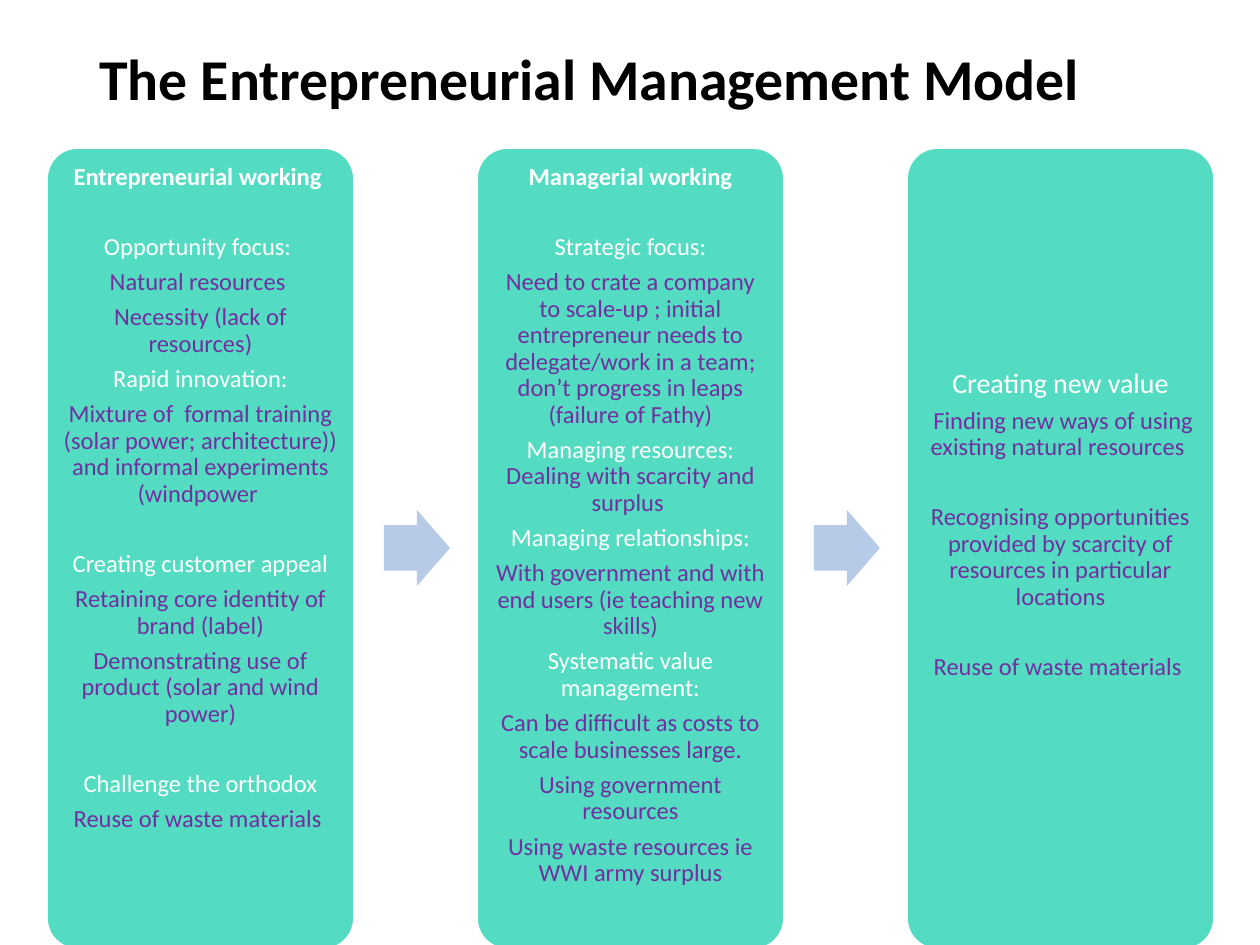
from pptx import Presentation
from pptx import util as u
from pptx.dml.color import RGBColor
from pptx.enum import shapes, text

PX = 914400 / 126
FONT = "Calibri"
BLACK = RGBColor(0x00, 0x00, 0x00)
WHITE = RGBColor(0xFF, 0xFF, 0xFF)
TEAL = RGBColor(0x54, 0xDC, 0xC2)
BLUE = RGBColor(0xB5, 0xCB, 0xE7)
PURPLE = RGBColor(0x70, 0x30, 0xA0)

HEAD = (14, WHITE, True)
BIG = (16, WHITE, False)
TOPIC = (14, WHITE, False)
NOTE = (14, PURPLE, False)
AFTER, GAP = 5, 20

WORK = [
    (0, [("Entrepreneurial working ", HEAD)]),
    (GAP, [("Opportunity focus: ", TOPIC)]),
    (0, [("Natural resources ", NOTE)]),
    (0, [("Necessity (lack of resources)", NOTE)]),
    (0, [("Rapid innovation:", TOPIC)]),
    (0, [("Mixture of  formal training (solar power; architecture)) "
          "and informal experiments (windpower ", NOTE)]),
    (GAP, [("Creating customer appeal", TOPIC)]),
    (0, [("Retaining core identity of brand (label)", NOTE)]),
    (0, [("Demonstrating use of product (solar and wind power)", NOTE)]),
    (GAP, [("Challenge the orthodox", TOPIC)]),
    (0, [("Reuse of waste materials ", NOTE)]),
]
MANAGE = [
    (0, [("Managerial working", HEAD)]),
    (GAP, [("Strategic focus:", TOPIC)]),
    (0, [("Need to crate a company to scale-up ; initial entrepreneur "
          "needs to delegate/work in a team; don’t progress in leaps "
          "(failure of Fathy)", NOTE)]),
    (0, [("Managing resources: ", TOPIC),
         ("Dealing with scarcity and surplus ", NOTE)]),
    (0, [("Managing relationships:", TOPIC)]),
    (0, [("With government and with end users (ie teaching new skills)", NOTE)]),
    (0, [("Systematic value management:", TOPIC)]),
    (0, [("Can be difficult as costs to scale businesses large.", NOTE)]),
    (0, [("Using government resources", NOTE)]),
    (0, [("Using waste resources ie WWI army surplus", NOTE)]),
]
VALUE = [
    (0, [("Creating new value", BIG)]),
    (0, [(" Finding new ways of using existing natural resources ", NOTE)]),
    (GAP, [("Recognising opportunities provided by scarcity of "
            "resources in particular locations", NOTE)]),
    (GAP, [("Reuse of waste materials ", NOTE)]),
]
STAGES = [(WORK, 7), (MANAGE, 7), (VALUE, 212)]


def emu(*vals):
    return [u.Emu(round(v * PX)) for v in vals]


def style(run, size, color, bold):
    font = run.font
    font.name, font.size, font.bold = FONT, u.Pt(size), bold
    font.color.rgb = color


def title(slide, x, y, w, h):
    frame = slide.shapes.add_textbox(*emu(x, y, w, h)).text_frame
    frame.word_wrap = True
    frame.vertical_anchor = text.MSO_ANCHOR.MIDDLE
    frame.text = "The Entrepreneurial Management Model"
    para = frame.paragraphs[0]
    para.line_spacing = 0.9
    style(para.runs[0], 33, BLACK, True)


def panel(slide, x, y, w, h, rows, top):
    box = slide.shapes.add_shape(
        shapes.MSO_SHAPE.ROUNDED_RECTANGLE, *emu(x, y, w, h))
    box.adjustments[0] = 0.1
    box.shadow.inherit = False
    box.fill.solid()
    box.fill.fore_color.rgb = TEAL
    box.line.color.rgb = WHITE
    box.line.width = u.Pt(1)
    frame = box.text_frame
    frame.word_wrap = True
    frame.vertical_anchor = text.MSO_ANCHOR.TOP
    frame.margin_left, frame.margin_right = emu(7, 7)
    frame.margin_top, frame.margin_bottom = emu(top, 7)
    for i, (gap, parts) in enumerate(rows):
        para = frame.add_paragraph() if i else frame.paragraphs[0]
        para.alignment = text.PP_ALIGN.CENTER
        para.line_spacing = 0.9
        para.space_before, para.space_after = u.Pt(gap), u.Pt(AFTER)
        for words, look in parts:
            run = para.add_run()
            run.text = words
            style(run, *look)


def arrow(slide, x, y, w, h):
    mark = slide.shapes.add_shape(
        shapes.MSO_SHAPE.RIGHT_ARROW, *emu(x, y, w, h))
    mark.adjustments[0], mark.adjustments[1] = 0.6, 0.5
    mark.shadow.inherit = False
    mark.fill.solid()
    mark.fill.fore_color.rgb = BLUE
    mark.line.fill.background()


def flow(slide, x, y, w, h):
    wide, step = 307, (w - 307) // 2
    for i, (rows, top) in enumerate(STAGES):
        left = x + i * step
        panel(slide, left, y, wide, h, rows, top)
        if i < len(STAGES) - 1:
            arrow(slide, left + wide + 30, y + (h - 76) // 2, 66, 76)


def main():
    deck = Presentation()
    deck.slide_width, deck.slide_height = emu(1260, 945)
    slide = deck.slides.add_slide(deck.slide_layouts[6])
    title(slide, 87, 37, 1086, 89)
    flow(slide, 47, 148, 1167, 801)
    deck.save("out.pptx")


if __name__ == "__main__":
    main()
